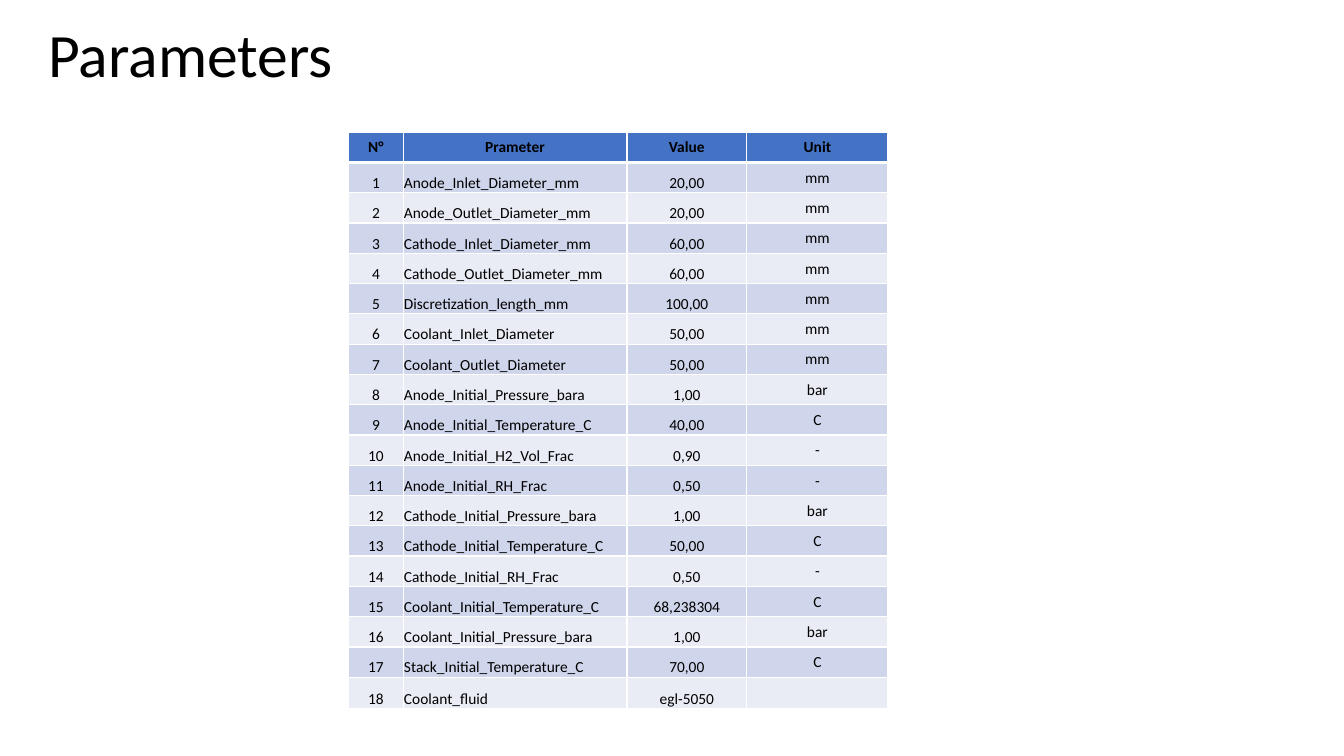
from lxml import etree
from pptx import Presentation
from pptx.dml.color import RGBColor
from pptx.enum import text as t
from pptx.oxml.ns import qn
from pptx.util import Cm, Pt

TITLE = "Parameters"
HEADER = ("N°", "Prameter", "Value", "Unit")
PARAMETERS = [
    ("Anode_Inlet_Diameter_mm", "20,00", "mm"),
    ("Anode_Outlet_Diameter_mm", "20,00", "mm"),
    ("Cathode_Inlet_Diameter_mm", "60,00", "mm"),
    ("Cathode_Outlet_Diameter_mm", "60,00", "mm"),
    ("Discretization_length_mm", "100,00", "mm"),
    ("Coolant_Inlet_Diameter", "50,00", "mm"),
    ("Coolant_Outlet_Diameter", "50,00", "mm"),
    ("Anode_Initial_Pressure_bara", "1,00", "bar"),
    ("Anode_Initial_Temperature_C", "40,00", "C"),
    ("Anode_Initial_H2_Vol_Frac", "0,90", "-"),
    ("Anode_Initial_RH_Frac", "0,50", "-"),
    ("Cathode_Initial_Pressure_bara", "1,00", "bar"),
    ("Cathode_Initial_Temperature_C", "50,00", "C"),
    ("Cathode_Initial_RH_Frac", "0,50", "-"),
    ("Coolant_Initial_Temperature_C", "68,238304", "C"),
    ("Coolant_Initial_Pressure_bara", "1,00", "bar"),
    ("Stack_Initial_Temperature_C", "70,00", "C"),
    ("Coolant_fluid", "egl-5050", ""),
]
COLUMN_WIDTHS = [Cm(width) for width in (1.37, 5.64, 3.02, 3.56)]
TABLE_HEIGHT = Cm(14.5)
NAME_COLUMN, UNIT_COLUMN = 1, 3
COLORS = {"text": "000000", "header": "4472C4", "odd": "CFD5EA",
          "even": "E9EBF5", "border": "FFFFFF"}


def write_text(frame, text, size, bold=False, align=t.PP_ALIGN.LEFT, line_spacing=None):
    paragraph = frame.paragraphs[0]
    paragraph.alignment = align
    paragraph.line_spacing = line_spacing
    run = paragraph.add_run()
    run.text = text
    run.font.name = "Calibri"
    run.font.size = Pt(size)
    run.font.bold = bold
    run.font.color.rgb = RGBColor.from_string(COLORS["text"])


def set_borders(cell, bottom, top):
    """Draw white cell borders; must run before the cell is filled."""
    properties = cell._tc.get_or_add_tcPr()
    for side, width in (("lnL", 1), ("lnR", 1), ("lnT", top), ("lnB", bottom)):
        line = etree.SubElement(properties, qn(f"a:{side}"), w=str(Pt(width)))
        fill = etree.SubElement(line, qn("a:solidFill"))
        etree.SubElement(fill, qn("a:srgbClr"), val=COLORS["border"])


def add_title(slide):
    box = slide.shapes.add_textbox(Cm(0.97), Cm(0.25), Cm(29.21), Cm(2.41))
    frame = box.text_frame
    frame.word_wrap = True
    frame.vertical_anchor = t.MSO_ANCHOR.MIDDLE
    write_text(frame, TITLE, size=44, line_spacing=0.9)


def add_parameter_table(slide):
    rows = [HEADER] + [(str(number), *parameter)
                       for number, parameter in enumerate(PARAMETERS, 1)]
    table = slide.shapes.add_table(len(rows), len(HEADER), Cm(8.79), Cm(3.33),
                                   sum(COLUMN_WIDTHS), TABLE_HEIGHT).table
    for column, width in zip(table.columns, COLUMN_WIDTHS):
        column.width = width
    for r, values in enumerate(rows):
        is_header = r == 0
        fill = "header" if is_header else "odd" if r % 2 else "even"
        for c, value in enumerate(values):
            cell = table.cell(r, c)
            cell.margin_left = cell.margin_right = cell.margin_top = Cm(0.02)
            cell.margin_bottom = 0
            centred_vertically = is_header or c == UNIT_COLUMN
            cell.vertical_anchor = (t.MSO_ANCHOR.MIDDLE if centred_vertically
                                    else t.MSO_ANCHOR.BOTTOM)
            set_borders(cell, bottom=3 if is_header else 1, top=3 if r == 1 else 1)
            cell.fill.solid()
            cell.fill.fore_color.rgb = RGBColor.from_string(COLORS[fill])
            left_aligned = c == NAME_COLUMN and not is_header
            write_text(cell.text_frame, value, size=11, bold=is_header,
                       align=t.PP_ALIGN.LEFT if left_aligned else t.PP_ALIGN.CENTER)


def main():
    presentation = Presentation()
    presentation.slide_width, presentation.slide_height = Cm(33.87), Cm(19.05)
    slide = presentation.slides.add_slide(presentation.slide_layouts[6])
    add_title(slide)
    add_parameter_table(slide)
    presentation.save("out.pptx")


if __name__ == "__main__":
    main()
